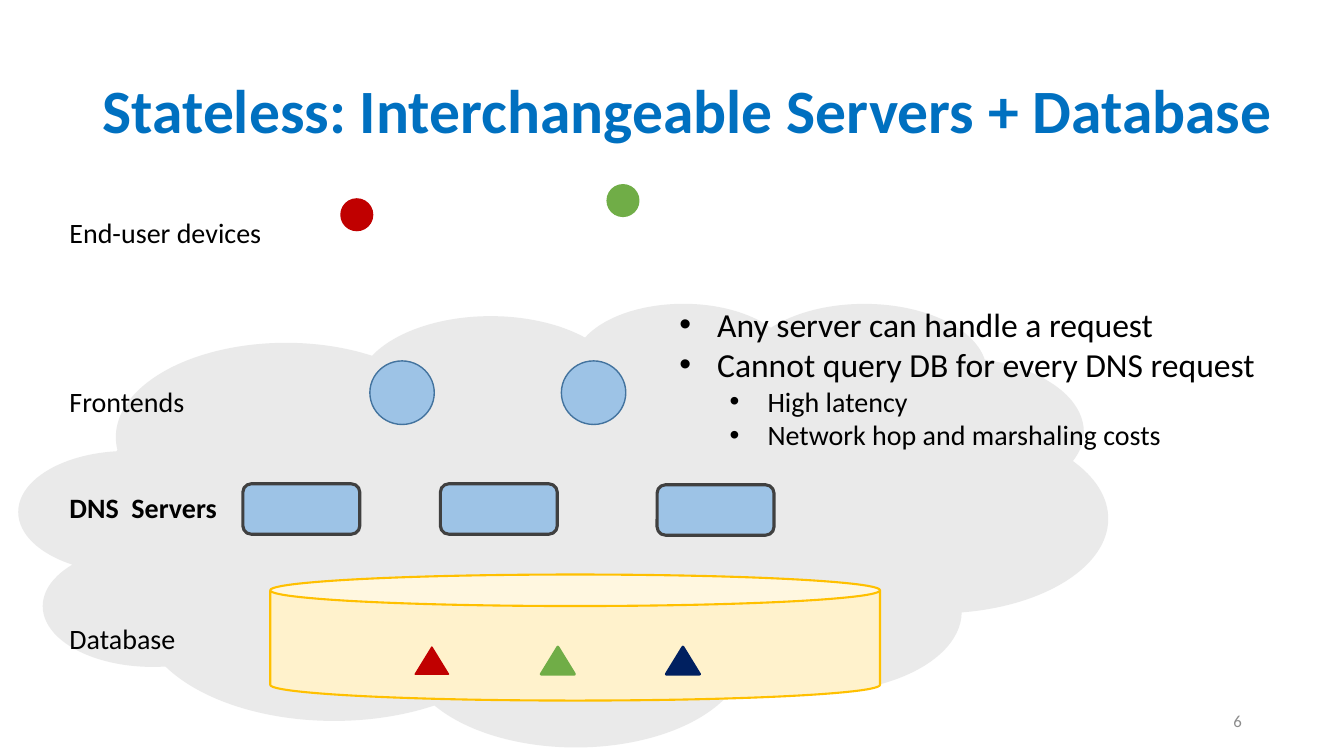
"""Build the slide on stateless servers that share a database."""
from lxml import etree
from pptx import Presentation
from pptx.dml.color import RGBColor
from pptx.enum import shapes, text
from pptx.oxml import ns
from pptx.util import Pt

COLORS = {
    "title": "0070C0", "black": "000000", "number": "8C8C8C", "cloud": "D9D9D9",
    "cream": "FFF2CC", "gold": "FFC000", "blue": "9DC3E6", "outline": "43739E",
    "charcoal": "404040", "red": "C00000", "green": "70AD47", "navy": "002060",
}
FONT = "Calibri"
SHAPE = shapes.MSO_SHAPE
ALIGN = text.PP_ALIGN
ANCHOR = text.MSO_ANCHOR


def color(name):
    """Return the named colour."""
    return RGBColor.from_string(COLORS[name])


def write(paragraph, content, size=20, ink="black", bold=False, align=ALIGN.LEFT, spacing=1.0):
    """Fill a paragraph with formatted text."""
    paragraph.text = content
    paragraph.alignment = align
    paragraph.line_spacing = spacing
    paragraph.space_before = Pt(0)
    font = paragraph.font
    font.name, font.size, font.bold = FONT, Pt(size), bold
    font.color.rgb = color(ink)


class SlideBuilder:
    """Draw styled elements on one slide."""

    def __init__(self, presentation):
        """Add a title and content slide."""
        self.slide = presentation.slides.add_slide(presentation.slide_layouts[1])

    def place(self, shape, box, anchor):
        """Move a placeholder and fix its text frame."""
        shape.left, shape.top, shape.width, shape.height = map(Pt, box)
        frame = shape.text_frame
        frame.word_wrap = True
        frame.auto_size = text.MSO_AUTO_SIZE.NONE
        frame.vertical_anchor = anchor
        return frame

    def title(self, content, box):
        """Fill the title placeholder."""
        frame = self.place(self.slide.shapes.title, box, ANCHOR.MIDDLE)
        write(frame.paragraphs[0], content, size=44, ink="title", bold=True, spacing=0.9)

    def bullets(self, items, box):
        """Fill the body placeholder with (level, text) bullets."""
        frame = self.place(self.slide.placeholders[1], box, ANCHOR.TOP)
        for index, (level, content) in enumerate(items):
            paragraph = frame.add_paragraph() if index else frame.paragraphs[0]
            paragraph.level = level
            properties = paragraph._p.get_or_add_pPr()
            properties.set("marL", str(Pt(27 + 36 * level)))
            properties.set("indent", str(Pt(-27)))
            etree.SubElement(properties, ns.qn("a:buFont"), typeface="Arial")
            etree.SubElement(properties, ns.qn("a:buChar"), char="•")
            write(paragraph, content, size=20 if level else 24)

    def label(self, content, box, anchor=ANCHOR.TOP, **style):
        """Add a one-line text box."""
        frame = self.slide.shapes.add_textbox(*map(Pt, box)).text_frame
        frame.word_wrap = False
        frame.vertical_anchor = anchor
        write(frame.paragraphs[0], content, **style)

    def figure(self, kind, box, fill, line=None, weight=1, opacity=None):
        """Add a filled preset shape."""
        shape = self.slide.shapes.add_shape(kind, *map(Pt, box))
        shape.shadow.inherit = False
        shape.fill.solid()
        shape.fill.fore_color.rgb = color(fill)
        if opacity is not None:
            tint = shape._element.spPr.find(".//" + ns.qn("a:srgbClr"))
            etree.SubElement(tint, ns.qn("a:alpha"), val=str(opacity * 1000))
        if line:
            shape.line.color.rgb = color(line)
            shape.line.width = Pt(weight)
        else:
            shape.line.fill.background()


def main():
    """Build and save the slide."""
    presentation = Presentation()
    presentation.slide_width, presentation.slide_height = Pt(960), Pt(540)
    builder = SlideBuilder(presentation)

    builder.title("Stateless: Interchangeable Servers + Database", (66.2, 28.8, 854.6, 104.4))
    builder.figure(SHAPE.CLOUD, (13.7, 216, 777.6, 316.8), "cloud", opacity=55)
    builder.figure(SHAPE.CAN, (193, 410.4, 435.6, 90), "cream", "gold", 1.5)
    for left, top in ((173.5, 345.6), (314.6, 345.6), (469.4, 346.3)):
        builder.figure(SHAPE.ROUNDED_RECTANGLE, (left, top, 83.5, 36), "blue", "charcoal", 2.25)
    for left in (264.2, 401):
        builder.figure(SHAPE.OVAL, (left, 257.8, 46, 45.4), "blue", "outline")
    for left, ink, weight in ((296.6, "red", 1), (386.6, "green", 2), (475.9, "navy", 2)):
        builder.figure(SHAPE.ISOSCELES_TRIANGLE, (left, 462.2, 23.8, 19.4), ink, ink, weight)
    for left, top, ink in ((244.1, 142.6, "red"), (434.2, 132.5, "green")):
        builder.figure(SHAPE.OVAL, (left, top, 21.6, 21.6), ink, ink, 2)

    for content, top, width, bold in (
        ("End-user devices", 150.5, 153.4, False),
        ("Frontends", 271.4, 97.2, False),
        ("DNS  Servers", 347, 121, True),
        ("Database", 440.6, 91.4, False),
    ):
        builder.label(content, (42.5, top, width, 31.7), bold=bold)
    builder.bullets((
        (0, "Any server can handle a request"),
        (0, "Cannot query DB for every DNS request"),
        (1, "High latency"),
        (1, "Network hop and marshaling costs"),
    ), (478, 213.1, 452.2, 113.8))
    builder.slide.shapes._spTree.append(builder.slide.placeholders[1]._element)
    builder.label("6", (678.2, 500.4, 216, 28.8), anchor=ANCHOR.MIDDLE,
                  size=12, ink="number", align=ALIGN.RIGHT)
    presentation.save("out.pptx")


if __name__ == "__main__":
    main()
